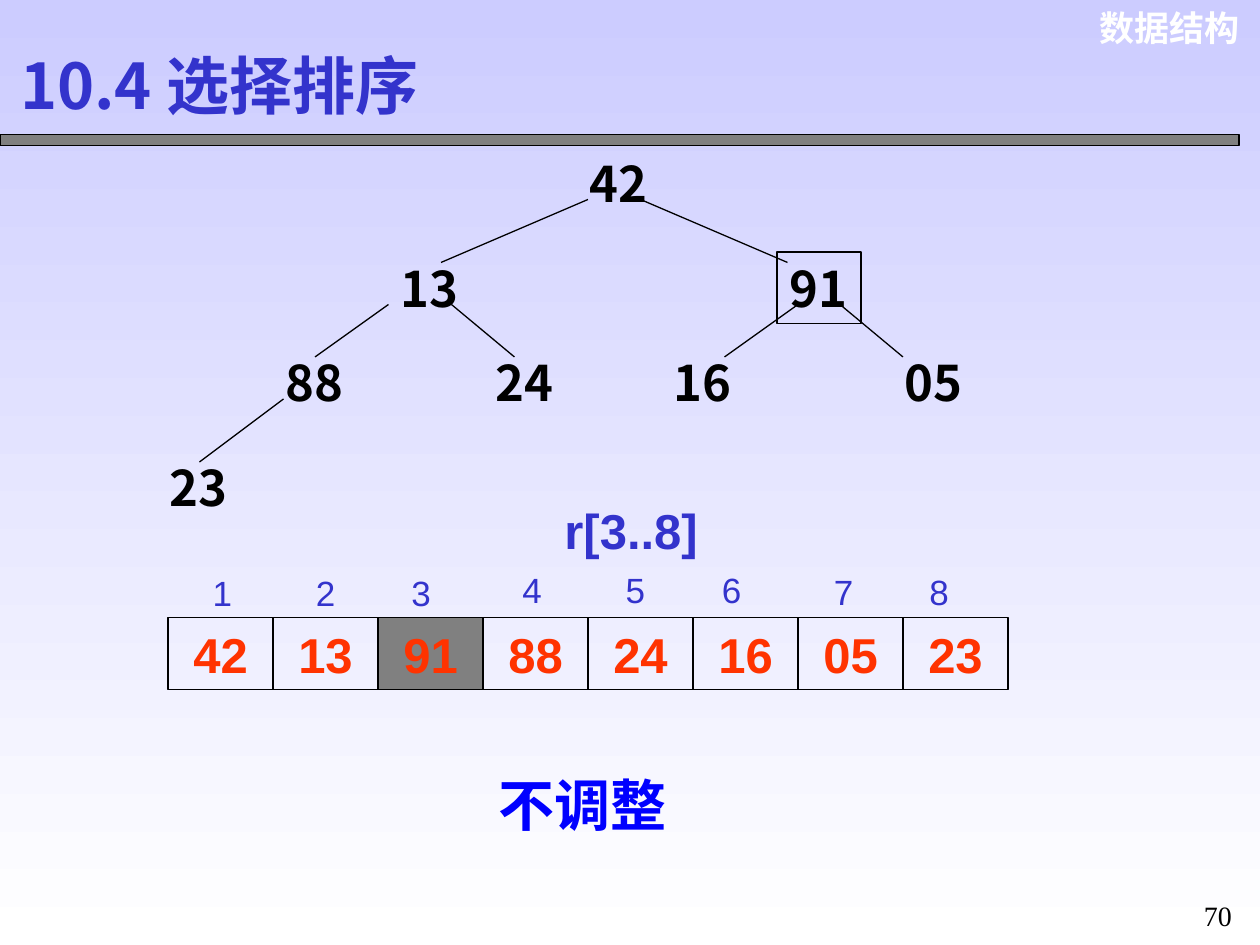
from typing import NamedTuple, Optional

from lxml import etree
from pptx import Presentation
from pptx import util as u
from pptx.dml.color import RGBColor
from pptx.enum import shapes, text
from pptx.oxml import ns

BLACK = RGBColor(0x00, 0x00, 0x00)
WHITE = RGBColor(0xFF, 0xFF, 0xFF)
GRAY = RGBColor(0x80, 0x80, 0x80)
LAVENDER = RGBColor(0xCC, 0xCC, 0xFF)
INDIGO = RGBColor(0x33, 0x33, 0xCC)
BLUE = RGBColor(0x00, 0x00, 0xFF)
ORANGE = RGBColor(0xFF, 0x33, 0x00)
CHINESE = "Noto Sans CJK SC"
LEFT, CENTER, RIGHT = text.PP_ALIGN.LEFT, text.PP_ALIGN.CENTER, text.PP_ALIGN.RIGHT


class Box(NamedTuple):
    left: float
    top: float
    width: float
    height: float


class Style(NamedTuple):
    font: str
    size: float
    color: RGBColor
    bold: bool = True
    align: text.PP_ALIGN = LEFT


class Node(NamedTuple):
    value: str
    left: float
    top: float
    boxed: bool = False


class Edge(NamedTuple):
    x1: float
    y1: float
    x2: float
    y2: float


class Index(NamedTuple):
    left: float
    top: float


HEADER = Style("Arial", 20, WHITE, align=RIGHT)
TITLE = Style(CHINESE, 36, INDIGO)
NODE = Style(CHINESE, 28, BLACK)
CELL = Style("Arial", 28, ORANGE, align=CENTER)
INDEX = Style("Arial", 20, INDIGO, bold=False)
RANGE = Style("Arial", 28, INDIGO)
VERDICT = Style(CHINESE, 32, BLUE, align=CENTER)
PAGE = Style("Times New Roman", 16, BLACK, bold=False, align=CENTER)

NODE_WIDTH, ROW_HEIGHT = 48, 41
NODES = [
    Node("42", 330, 84),
    Node("13", 222, 144), Node("91", 444, 144, boxed=True),
    Node("88", 156, 198), Node("24", 276, 198),
    Node("16", 378, 198), Node("05", 510, 198),
    Node("23", 90, 258),
]
EDGES = [
    Edge(336, 114, 252, 150), Edge(366, 114, 450, 150),
    Edge(222, 174, 180, 204), Edge(258, 174, 294, 204),
    Edge(456, 174, 414, 204), Edge(480, 174, 516, 204),
    Edge(162, 228, 114, 264),
]
CELL_LEFT, CELL_TOP, CELL_WIDTH = 96, 353, 60
CURRENT = "91"
INDICES = [
    Index(114.5, 323), Index(173.5, 323), Index(228, 323),
    Index(291.5, 321), Index(350.5, 321), Index(405.5, 321),
    Index(469.5, 322.5), Index(524, 322.5),
]


def points(values: tuple) -> list:
    return [u.Pt(value) for value in values]


def write(shape, content: str, style: Style, wrap: bool = True) -> None:
    """Put one styled paragraph into a shape."""
    frame = shape.text_frame
    frame.text = content
    frame.word_wrap = wrap
    frame.auto_size = text.MSO_AUTO_SIZE.NONE
    frame.vertical_anchor = text.MSO_ANCHOR.MIDDLE
    frame.margin_left = frame.margin_right = u.Pt(7.2)
    frame.margin_top = frame.margin_bottom = u.Pt(3.6)
    paragraph = frame.paragraphs[0]
    paragraph.alignment = style.align
    for run in paragraph.runs:
        run.font.name = style.font
        run.font.size = u.Pt(style.size)
        run.font.bold = style.bold
        run.font.color.rgb = style.color
        east_asian = etree.Element(ns.qn("a:ea"), typeface=CHINESE)
        run.font._element.find(ns.qn("a:latin")).addnext(east_asian)


def add_text(slide, content: str, box: Box, style: Style, wrap: bool = True):
    shape = slide.shapes.add_textbox(*points(box))
    write(shape, content, style, wrap)
    return shape


def add_box(slide, box: Box, fill: Optional[RGBColor] = None):
    shape = slide.shapes.add_shape(shapes.MSO_SHAPE.RECTANGLE, *points(box))
    shape.shadow.inherit = False
    if fill is None:
        shape.fill.background()
    else:
        shape.fill.solid()
        shape.fill.fore_color.rgb = fill
    shape.line.color.rgb = BLACK
    shape.line.width = u.Pt(0.75)
    return shape


def add_node(slide, node: Node) -> None:
    box = Box(node.left, node.top, NODE_WIDTH, ROW_HEIGHT)
    if node.boxed:
        write(add_box(slide, box), node.value, NODE)
    else:
        add_text(slide, node.value, box, NODE)


def add_edge(slide, edge: Edge) -> None:
    line = slide.shapes.add_connector(shapes.MSO_CONNECTOR.STRAIGHT, *points(edge))
    line.line.color.rgb = BLACK
    line.line.width = u.Pt(0.75)
    etree.SubElement(line._element.spPr, ns.qn("a:effectLst"))


def main() -> None:
    presentation = Presentation()
    presentation.slide_width, presentation.slide_height = u.Pt(720), u.Pt(540)
    slide = presentation.slides.add_slide(presentation.slide_layouts[5])

    # Background, from lavender at the top to white
    background = slide.background.fill
    background.gradient()
    background.gradient_angle = 270
    for stop, color in zip(background.gradient_stops, (LAVENDER, WHITE)):
        stop.color.rgb = color

    # Header and title
    add_text(slide, "数据结构", Box(617, 0, 98.6, 31.7), HEADER)
    add_box(slide, Box(0, 77, 708, 6), GRAY)
    title = slide.shapes.title
    title.left, title.top, title.width, title.height = points((4.3, 21, 268, 54))
    write(title, "10.4 选择排序", TITLE)

    # Heap tree
    for node in NODES:
        add_node(slide, node)
    for edge in EDGES:
        add_edge(slide, edge)

    # Array: the nodes in level order, with their indices
    for number, (node, index) in enumerate(zip(NODES, INDICES)):
        left = CELL_LEFT + number * CELL_WIDTH
        fill = GRAY if node.value == CURRENT else None
        cell = add_box(slide, Box(left, CELL_TOP, CELL_WIDTH, ROW_HEIGHT), fill)
        write(cell, node.value, CELL)
        add_text(slide, str(number + 1), Box(*index, 25.5, 31.5), INDEX, wrap=False)
    add_text(slide, "r[3..8]", Box(315.5, 282.5, 204.5, ROW_HEIGHT), RANGE)

    # Verdict and page number
    add_text(slide, "不调整", Box(228, 436.5, 210, 46), VERDICT)
    page = add_text(slide, "70", Box(678, 504, 36, 32.4), PAGE)
    page.text_frame.paragraphs[0].line_spacing = 1.3

    presentation.save("out.pptx")


if __name__ == "__main__":
    main()
